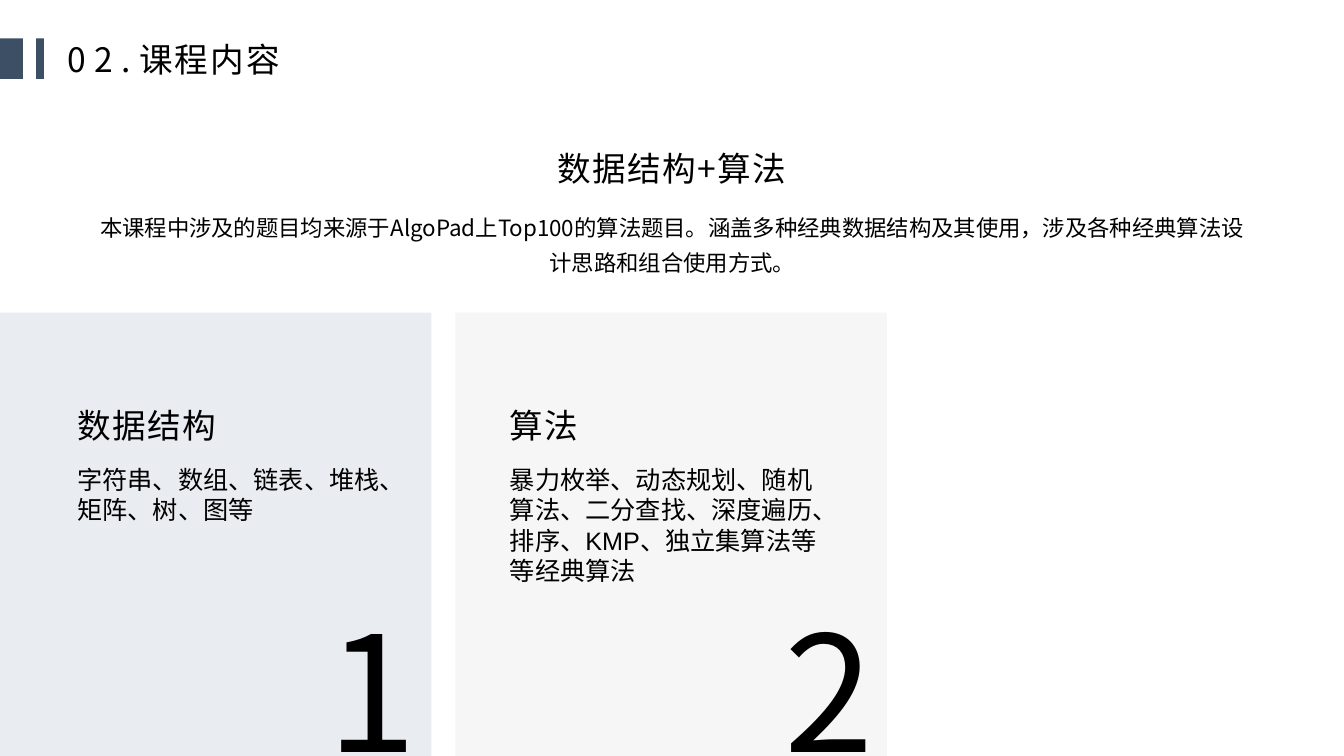
"""Build the course content slide: heading, introduction and two topic cards."""
from dataclasses import dataclass

from lxml.etree import SubElement
from pptx import Presentation
from pptx.dml.color import RGBColor
from pptx.enum.shapes import MSO_SHAPE as Shape
from pptx.enum.text import MSO_ANCHOR as Anchor, PP_ALIGN as Align
from pptx.oxml.ns import qn
from pptx.util import Cm, Pt


@dataclass(frozen=True)
class Theme:
    accent: str = "3D4F65"
    blue_card: str = "E9EDF2"
    grey_card: str = "F6F6F6"
    ink: str = "000000"
    font: str = "Noto Sans CJK SC"
    body_font: str = "Arial"
    heading: int = 24
    intro: int = 16
    body: int = 18
    number: int = 115


theme = Theme()
prs = Presentation()
prs.slide_width, prs.slide_height = Cm(33.87), Cm(19.05)
s = prs.slides.add_slide(prs.slide_layouts[6])


def add_text(text, x, y, w, h, size=theme.heading, font=theme.font, gap=1,
             align=Align.LEFT, anchor=Anchor.TOP, line=None, wrap=True, inset=True):
    """Add a text box; text is a string or a list of (string, letter gap) runs."""
    tf = s.shapes.add_textbox(Cm(x), Cm(y), Cm(w), Cm(h)).text_frame
    tf.word_wrap, tf.vertical_anchor = wrap, anchor
    if not inset:
        tf.margin_left = tf.margin_right = tf.margin_top = tf.margin_bottom = 0
    p = tf.paragraphs[0]
    p.alignment, p.line_spacing = align, line
    for part, spacing in [(text, gap)] if isinstance(text, str) else text:
        r = p.add_run()
        r.text, r.font.size, r.font.name = part, Pt(size), font
        r.font.color.rgb = RGBColor.from_string(theme.ink)
        rpr = r.font._element
        rpr.set("spc", str(int(spacing * 100)))
        SubElement(rpr, qn("a:ea")).set("typeface", font)


def add_block(x, y, w, h, color):
    """Add a plain filled rectangle."""
    sp = s.shapes.add_shape(Shape.RECTANGLE, Cm(x), Cm(y), Cm(w), Cm(h))
    sp.shadow.inherit = False
    sp.fill.solid()
    sp.fill.fore_color.rgb = RGBColor.from_string(color)
    sp.line.fill.background()


for x, w in [(0, 0.58), (0.91, 0.2)]:
    add_block(x, 0.97, w, 1.02, theme.accent)
add_text([("02.", 6), ("课程内容", 1.5)], 1.7, 0.64, 11.89, 1.7,
         anchor=Anchor.MIDDLE, inset=False)

add_text("数据结构+算法", 13.18, 3.61, 7.52, 1.27, align=Align.CENTER)
add_text("本课程中涉及的题目均来源于AlgoPad上Top100的算法题目。"
         "涵盖多种经典数据结构及其使用，涉及各种经典算法设计思路和组合使用方式。",
         2.06, 5.08, 29.77, 2.29, size=theme.intro, gap=0, align=Align.CENTER, line=1.3)

cards = [
    (0, 1.7, 8, theme.blue_card, "数据结构", "字符串、数组、链表、堆栈、矩阵、树、图等"),
    (11.48, 12.6, 19.53, theme.grey_card, "算法",
     "暴力枚举、动态规划、随机算法、二分查找、深度遍历、排序、KMP、独立集算法等等经典算法"),
]
for number, (card_x, text_x, number_x, color, title, topics) in enumerate(cards, 1):
    add_block(card_x, 7.88, 10.87, 11.17, color)
    add_text(str(number), number_x, 14.78, 2.92, 5.18, size=theme.number, gap=0, wrap=False)
    add_text(title, text_x, 10.08, 7.52, 1.27)
    add_text(topics, text_x, 11.58, 8.69, 4.78, size=theme.body, font=theme.body_font, gap=0)

prs.save("out.pptx")
